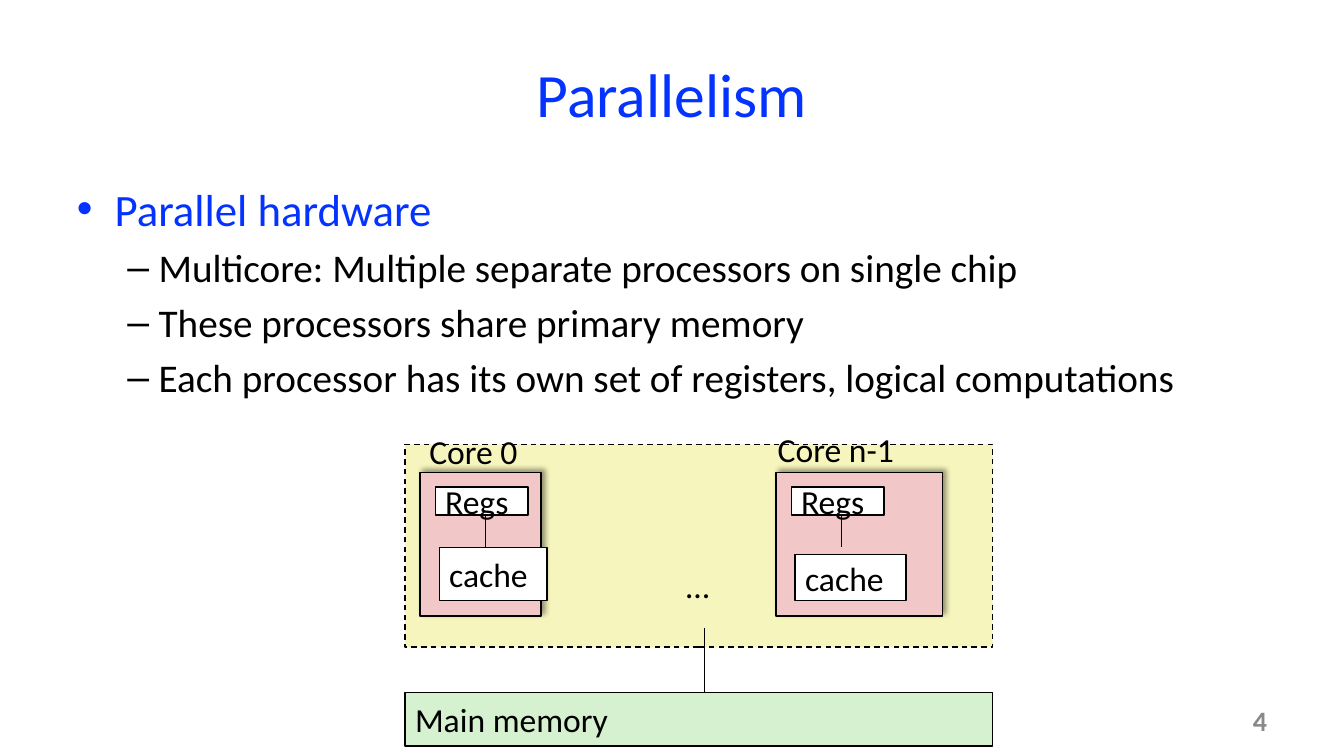
from lxml.etree import SubElement
from pptx import Presentation
from pptx.dml.color import RGBColor
from pptx.enum.dml import MSO_LINE
from pptx.enum.shapes import MSO_CONNECTOR, MSO_SHAPE
from pptx.enum.text import MSO_ANCHOR, MSO_AUTO_SIZE, PP_ALIGN
from pptx.oxml.ns import qn
from pptx.util import Cm, Pt

BLUE, BLACK, WHITE, GREY = "0432FF", "000000", "FFFFFF", "898989"
YELLOW, PINK, GREEN = "F6F5BD", "F1C7C7", "D5F1CF"


def color(hex_string):
    return RGBColor.from_string(hex_string)


def set_all(target, values):
    for name, value in values.items():
        setattr(target, name, value)


def add_xml(parent, tag, **attributes):
    return SubElement(parent, qn(tag), {k: str(v) for k, v in attributes.items()})


class SlideBuilder:
    font = "Calibri"
    label_size = 24
    line_width = Pt(1)

    def __init__(self, slide):
        self.slide = slide

    def add_run(self, p, text, size, text_color=BLACK, bold=False):
        r = p.add_run()
        r.text = text
        set_all(r.font, {"name": self.font, "size": Pt(size), "bold": bold})
        r.font.color.rgb = color(text_color)

    def outline(self, line):
        line.color.rgb = color(BLACK)
        line.width = self.line_width

    def text(self, x, y, w, h, text, size, text_color=BLACK, bold=False,
             align=PP_ALIGN.LEFT, anchor=MSO_ANCHOR.MIDDLE):
        sp = self.slide.shapes.add_textbox(Cm(x), Cm(y), Cm(w), Cm(h))
        set_all(sp.text_frame, {"word_wrap": True, "vertical_anchor": anchor})
        p = sp.text_frame.paragraphs[0]
        p.alignment = align
        self.add_run(p, text, size, text_color, bold)

    def label(self, x, y, w, text):
        """Add a one-line caption whose box fits its text."""
        sp = self.slide.shapes.add_textbox(Cm(x), Cm(y), Cm(w), Cm(1.27))
        set_all(sp.text_frame, {"word_wrap": False,
                                "auto_size": MSO_AUTO_SIZE.SHAPE_TO_FIT_TEXT})
        self.add_run(sp.text_frame.paragraphs[0], text, self.label_size)

    def bullets(self, x, y, w, h, items):
        """Add a list of (level, text) items."""
        styles = [
            {"bullet": "•", "size": 32, "color": BLUE, "left": 0.95, "hang": 0.95},
            {"bullet": "–", "size": 28, "color": BLACK, "left": 2.06, "hang": 0.79},
        ]
        tf = self.slide.shapes.add_textbox(Cm(x), Cm(y), Cm(w), Cm(h)).text_frame
        tf.word_wrap = True
        for i, (level, text) in enumerate(items):
            style = styles[level]
            p = tf.add_paragraph() if i else tf.paragraphs[0]
            p.level = level
            self.add_run(p, text, style["size"], style["color"])
            pPr = p._p.get_or_add_pPr()
            pPr.set("marL", str(Cm(style["left"])))
            pPr.set("indent", str(-Cm(style["hang"])))
            add_xml(add_xml(pPr, "a:spcBef"), "a:spcPct", val=20000)
            add_xml(pPr, "a:buFont", typeface="Arial")
            add_xml(pPr, "a:buChar", char=style["bullet"])

    def box(self, x, y, w, h, fill, text="", wrap=False, dashed=False, shadow=False):
        sp = self.slide.shapes.add_shape(
            MSO_SHAPE.RECTANGLE, Cm(x), Cm(y), Cm(w), Cm(h))
        sp.shadow.inherit = False
        sp.fill.solid()
        sp.fill.fore_color.rgb = color(fill)
        self.outline(sp.line)
        if dashed:
            sp.line.dash_style = MSO_LINE.DASH
        if shadow:
            effects = sp._element.spPr.find(qn("a:effectLst"))
            outer = add_xml(effects, "a:outerShdw", blurRad=Pt(4), dist=Pt(3),
                            dir=315 * 60000, algn="tl", rotWithShape=0)
            add_xml(add_xml(outer, "a:srgbClr", val=BLACK), "a:alpha", val=40000)
        if text:
            set_all(sp.text_frame, {"word_wrap": wrap,
                                    "vertical_anchor": MSO_ANCHOR.MIDDLE})
            p = sp.text_frame.paragraphs[0]
            p.alignment = PP_ALIGN.LEFT
            self.add_run(p, text, self.label_size)

    def vertical_line(self, x, top, bottom):
        s = self.slide.shapes.add_connector(
            MSO_CONNECTOR.STRAIGHT, Cm(x), Cm(top), Cm(x), Cm(bottom))
        self.outline(s.line)
        add_xml(s._element.spPr, "a:effectLst")

    def core(self, x, w, cache_top, cache_w, name, name_x, name_y, name_w):
        """Add a core with its registers, its cache and the link between them."""
        regs_top, regs_h, cache_bottom = 12.27, 0.71, 15.14
        self.box(x, 11.91, w, 3.61, PINK, shadow=True)
        self.box(x + 0.38, regs_top, 2.34, regs_h, WHITE, "Regs")
        self.box(x + 0.48, cache_top, cache_w, cache_bottom - cache_top, WHITE, "cache")
        self.vertical_line(x + 1.64, regs_top + regs_h, 13.79)
        self.label(name_x, name_y, name_w, name)


def main():
    prs = Presentation()
    set_all(prs, {"slide_width": Cm(33.87), "slide_height": Cm(19.05)})
    s = SlideBuilder(prs.slides.add_slide(prs.slide_layouts[6]))

    s.text(1.69, 0.76, 30.48, 3.18, "Parallelism", 44, BLUE, align=PP_ALIGN.CENTER)
    s.bullets(1.69, 4.45, 30.48, 12.57, [
        (0, "Parallel hardware"),
        (1, "Multicore: Multiple separate processors on single chip"),
        (1, "These processors share primary memory"),
        (1, "Each processor has its own set of registers, logical computations"),
    ])
    s.text(24.28, 17.65, 7.9, 1.02, "4", 20, GREY, bold=True, align=PP_ALIGN.RIGHT)

    chip_x, chip_w, memory_top = 10.21, 14.81, 17.45
    s.box(chip_x, 11.2, chip_w, 5.11, YELLOW, dashed=True)
    s.core(10.59, 3.05, 13.79, 2.72, "Core 0", 10.57, 10.74, 2.74)
    s.core(19.56, 4.19, 13.97, 2.79, "Core n-1", 19.35, 10.69, 3.48)
    s.label(17.04, 14.1, 1.12, "…")
    s.box(chip_x, memory_top, chip_w, 1.35, GREEN, "Main memory", wrap=True)
    s.vertical_line(17.75, 15.82, memory_top)

    prs.save("out.pptx")


if __name__ == "__main__":
    main()
